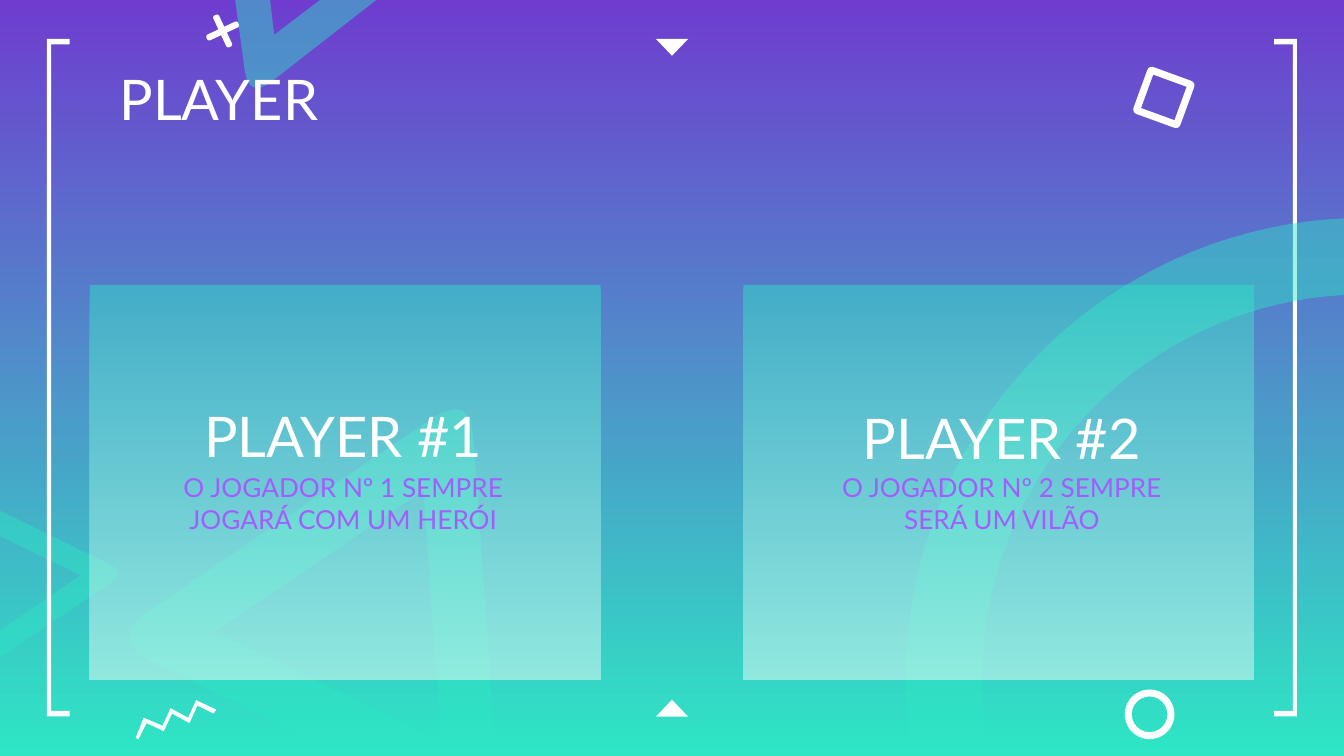
from math import acos, asin, cos, hypot, pi, radians, sin

from lxml.etree import SubElement
from pptx import Presentation
from pptx.dml.color import RGBColor
from pptx.enum.shapes import MSO_SHAPE as SHAPE
from pptx.enum.text import MSO_ANCHOR as ANCHOR, MSO_AUTO_SIZE as AUTO, PP_ALIGN as ALIGN
from pptx.oxml.ns import qn
from pptx.util import Pt

THEME = dict(font="Lato", heading=30, body=14, white="FFFFFF", lilac="A45CFF",
             violet="6E3DCF", mint="2EE6C4", alpha=45)
W, H = 720, 405

TITLE = "PLAYER"
PLAYERS = [
    ("PLAYER #1", "O JOGADOR Nº 1 SEMPRE JOGARÁ COM UM HERÓI"),
    ("PLAYER #2", "O JOGADOR Nº 2 SEMPRE SERÁ UM VILÃO"),
]

# Boxes are left, top, width, height in points
TITLE_BOX = (56.9, 27.4, 572.4, 65.5)
CARDS = [(48.2, 152.6, 273.6, 211.7), (398.2, 152.6, 273.6, 211.7)]
HEADING_BOXES = [(56.9, 190.1, 254.2, 61.2), (409.7, 190.8, 254.2, 61.2)]
BODY_BOXES = [(83.5, 245.5, 200.9, 86.4), (436.3, 245.5, 200.9, 86.4)]
RING_BOX = (602.6, 369.4, 26.6, 26.6)

# Outline vertices are x, y and, for a rounded corner, its radius
LEFT_CHEVRON = [(0, 273.6), (67.8, 306.7, 10), (0, 352.1), (0, 337.7), (43.2, 308.2), (0, 287.3)]
TOP_CHEVRON = [(201.6, 0), (133.2, 53.3, 16), (126, 0), (144.7, 0), (146.9, 18.7), (171.4, 0)]
TRIANGLE = [(252, 210.2, 25), (267.1, 427.7), (231.8, 427.7), (56.9, 342.7, 28)]
TRIANGLE_HOLE = [(226.8, 262.8), (115.2, 338.4), (236.2, 397.4)]
MARKER = [(351.4, 20.9), (360, 29.9), (368.6, 20.9)]
BRACKET = [(25.2, 20.9), (25.2, 383.8), (37.4, 383.8), (37.4, 380.9),
           (27.4, 380.9), (27.4, 23.8), (37.4, 23.8), (37.4, 20.9)]
ZIGZAG = [(72.7, 395.3), (77, 384.5), (87.1, 388.8), (91.4, 379.4), (100.8, 384.5),
          (105.1, 375.1), (115.9, 380.2), (114.5, 382.3), (105.8, 378), (101.5, 387.4),
          (92.2, 382.3), (87.8, 391.7), (78.5, 387.4), (74.2, 396)]


def rgb(name):
    return RGBColor.from_string(THEME[name])


def add_alpha(parent):
    for color in parent.iter(qn("a:srgbClr")):
        SubElement(color, qn("a:alpha"), val=str(THEME["alpha"] * 1000))


def set_gradient(fill, top, bottom):
    fill.gradient()
    fill.gradient_angle = 270
    for stop, name in zip(fill.gradient_stops, (top, bottom)):
        stop.color.rgb = rgb(name)


def rounded(vertices, steps=8):
    """Replace each vertex that has a radius by points on a quadratic curve."""
    pts = []
    for i, (x, y, *radius) in enumerate(vertices):
        if not radius:
            pts.append((x, y))
            continue
        ends = []
        for nx, ny, *_ in (vertices[i - 1], vertices[(i + 1) % len(vertices)]):
            k = radius[0] / hypot(nx - x, ny - y)
            ends.append((x + k * (nx - x), y + k * (ny - y)))
        (ax, ay), (bx, by) = ends
        for t in (n / steps for n in range(steps + 1)):
            a, v, b = (1 - t) ** 2, 2 * t * (1 - t), t * t
            pts.append((a * ax + v * x + b * bx, a * ay + v * y + b * by))
    return pts


def square(cx, cy, r, tilt, *radius):
    angles = [radians(tilt + 45 + 90 * n) for n in range(4)]
    return [(cx + r * cos(a), cy + r * sin(a), *radius) for a in angles]


def plus(cx, cy, arm, half, tilt, radius):
    vertices = []
    for n in range(4):
        c, s = cos(radians(tilt + 90 * n)), sin(radians(tilt + 90 * n))
        for u, v, *rad in ((arm, -half, radius), (arm, half, radius), (half, half)):
            vertices.append((cx + u * c - v * s, cy + u * s + v * c, *rad))
    return vertices


def clipped_ring(cx, cy, outer, inner, steps=40):
    """Band of a ring, cut by the right and bottom edges of the slide."""
    pts = []
    for r in (outer, inner):
        start = pi + asin((cy - H) / r)
        end = 2 * pi - acos((W - cx) / r)
        arc = [start + (end - start) * n / steps for n in range(steps + 1)]
        side = [(cx + r * cos(a), cy + r * sin(a)) for a in arc]
        pts += side if r == outer else side[::-1]
    return pts


def finish(sp, color):
    sp.shadow.inherit = False
    sp.line.fill.background()
    if color:
        sp.fill.solid()
        sp.fill.fore_color.rgb = rgb(color)


def add_outline(shapes, *loops, color="white"):
    builder = None
    for loop in loops:
        first, *rest = [(Pt(x), Pt(y)) for x, y in rounded(loop)]
        if builder is None:
            builder = shapes.build_freeform(*first, scale=1)
        else:
            builder.move_to(*first)
        builder.add_line_segments(rest, close=True)
    sp = builder.convert_to_shape()
    finish(sp, color)
    if color == "mint":
        add_alpha(sp.fill._xPr)


def fill_placeholder(ph, box, text, size, color, align, anchor, inset, after=0):
    ph.element.getparent().append(ph.element)  # bring in front of the cards
    ph.left, ph.top, ph.width, ph.height = map(Pt, box)
    tf = ph.text_frame
    tf.text = text
    tf.word_wrap, tf.auto_size, tf.vertical_anchor = True, AUTO.NONE, anchor
    tf.margin_left = tf.margin_right = Pt(7.2)
    tf.margin_top = tf.margin_bottom = Pt(inset)
    p = tf.paragraphs[0]
    p.alignment, p.line_spacing = align, 1.0
    p.space_before, p.space_after = Pt(0), Pt(after)
    pPr = p._p.get_or_add_pPr()
    pPr.set("marL", "0")
    pPr.set("indent", "0")
    SubElement(pPr, qn("a:buNone"))
    font = p.runs[0].font
    font.name, font.size, font.bold = THEME["font"], Pt(THEME[size]), False
    font.color.rgb = rgb(color)


def main():
    prs = Presentation()
    prs.slide_width, prs.slide_height = Pt(W), Pt(H)
    slide = prs.slides.add_slide(prs.slide_layouts.get_by_name("Comparison"))
    shapes = slide.shapes
    title, *bodies = list(slide.placeholders)
    set_gradient(slide.background.fill, "violet", "mint")

    add_outline(shapes, LEFT_CHEVRON, color="mint")
    add_outline(shapes, MARKER)
    add_outline(shapes, [(x, 404.8 - y) for x, y in MARKER])
    add_outline(shapes, square(623.5, 52.2, 18.9, 20, 3), square(623.5, 52.2, 13.5, 20))
    add_outline(shapes, plus(119.3, 16.6, 9.4, 1.7, -25, 1.5))
    add_outline(shapes, BRACKET)
    add_outline(shapes, [(W - x, y) for x, y in BRACKET])
    add_outline(shapes, ZIGZAG)
    ring = shapes.add_shape(SHAPE.DONUT, *map(Pt, RING_BOX))
    ring.adjustments[0] = 0.14
    finish(ring, "white")
    add_outline(shapes, clipped_ring(731.5, 362.9, 246.2, 205.2), color="mint")
    add_outline(shapes, TRIANGLE, TRIANGLE_HOLE, color="mint")
    add_outline(shapes, TOP_CHEVRON, color="mint")

    for box in CARDS:
        card = shapes.add_shape(SHAPE.ROUNDED_RECTANGLE, *map(Pt, box))
        card.adjustments[0] = 0
        finish(card, None)
        set_gradient(card.fill, "mint", "white")
        add_alpha(card.fill._xPr)

    fill_placeholder(title, TITLE_BOX, TITLE, "heading", "white", ALIGN.LEFT, ANCHOR.TOP, 7.2)
    for i, (heading, body) in enumerate(PLAYERS):
        fill_placeholder(bodies[2 * i], HEADING_BOXES[i], heading, "heading", "white",
                         ALIGN.CENTER, ANCHOR.BOTTOM, 0, 16)
        fill_placeholder(bodies[2 * i + 1], BODY_BOXES[i], body, "body", "lilac",
                         ALIGN.CENTER, ANCHOR.TOP, 7.2, 16)
    prs.save("out.pptx")


if __name__ == "__main__":
    main()
